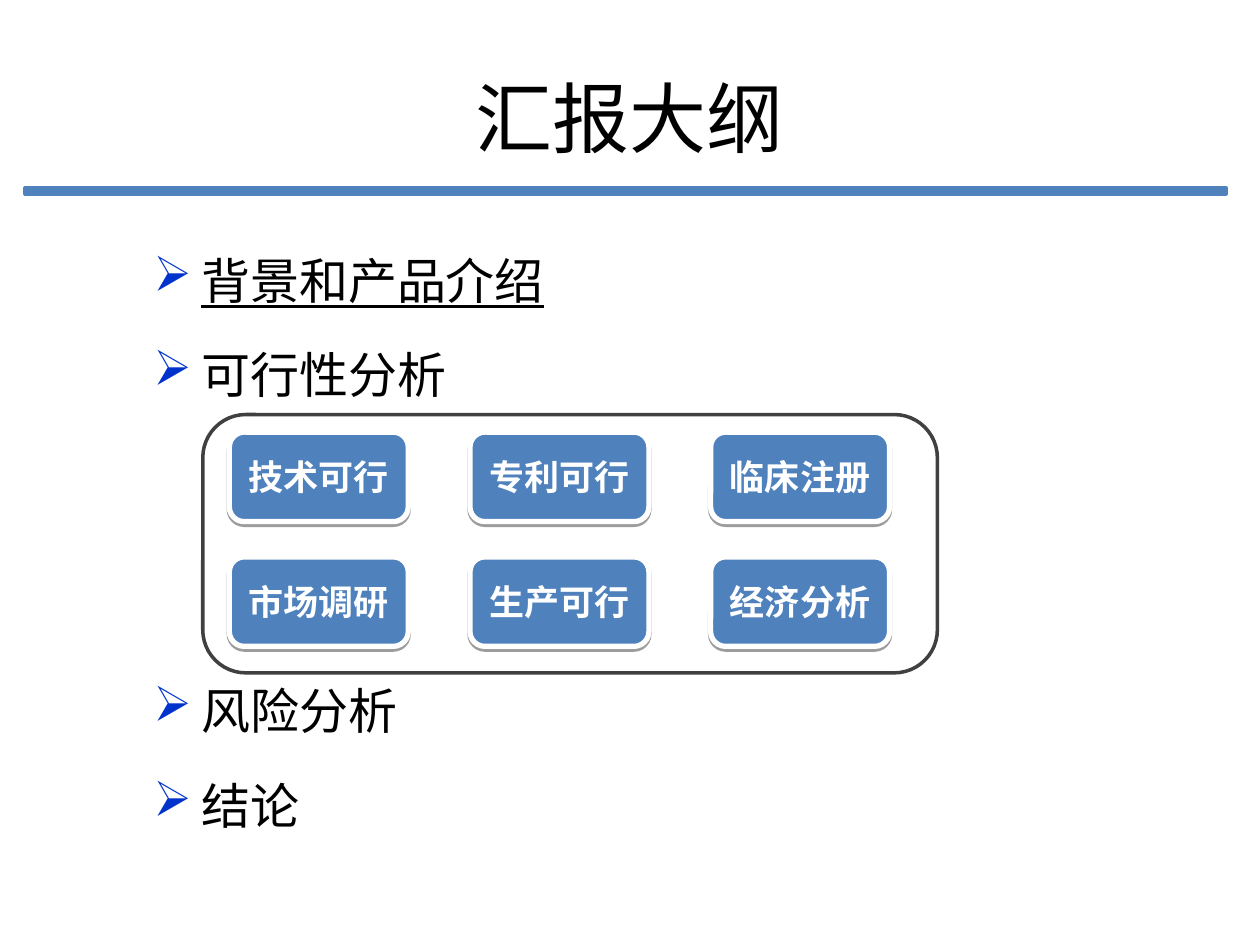
from dataclasses import dataclass

from lxml import etree
from pptx import Presentation
from pptx.dml.color import RGBColor
from pptx.enum.shapes import MSO_SHAPE
from pptx.enum.text import MSO_ANCHOR, PP_ALIGN
from pptx.oxml.ns import qn
from pptx.util import Inches, Pt

ROUNDED = MSO_SHAPE.ROUNDED_RECTANGLE
RECTANGLE = MSO_SHAPE.RECTANGLE
MIDDLE = MSO_ANCHOR.MIDDLE
CENTER = PP_ALIGN.CENTER
TITLE_ONLY_LAYOUT = 5


@dataclass(frozen=True)
class Theme:
    font: str = "Calibri"
    blue: str = "4F81BD"
    bullet: str = "0033CC"
    frame: str = "404040"
    text: str = "000000"
    white: str = "FFFFFF"
    title_size: int = 44
    outline_size: int = 28
    card_size: int = 20


@dataclass(frozen=True)
class OutlineItem:
    text: str
    space_before: float = 7
    underline: bool = False


@dataclass(frozen=True)
class Box:
    left: float
    top: float
    width: float
    height: float

    def lengths(self):
        return [Inches(value) for value in (self.left, self.top, self.width, self.height)]


THEME = Theme()
OUTLINE = [
    OutlineItem("背景和产品介绍", 0, True),
    OutlineItem("可行性分析"),
    OutlineItem("风险分析", 145),  # leaves room for the framed cards
    OutlineItem("结论"),
]
CARD_ROWS = [
    ["技术可行", "专利可行", "临床注册"],
    ["市场调研", "生产可行", "经济分析"],
]
FIRST_CARD = Box(1.82, 3.43, 1.42, 0.71)
COLUMN_STEP = 1.91
ROW_STEP = 0.99


def set_font(paragraph, size: int, color: str, bold: bool = False) -> None:
    font = paragraph.font
    font.name = THEME.font
    font.size = Pt(size)
    font.bold = bold
    font.color.rgb = RGBColor.from_string(color)


def add_bullet(paragraph) -> None:
    properties = paragraph._p.get_or_add_pPr()
    properties.set("marL", str(Inches(0.38)))
    properties.set("indent", str(-Inches(0.38)))
    color = etree.SubElement(properties, qn("a:buClr"))
    etree.SubElement(color, qn("a:srgbClr"), val=THEME.bullet)
    etree.SubElement(properties, qn("a:buChar"), char="➢")


def add_drop_shadow(shape) -> None:
    """Put a crisp 38% black shadow just below the shape."""
    effects = etree.SubElement(shape._element.spPr, qn("a:effectLst"))
    shadow = etree.SubElement(
        effects, qn("a:outerShdw"), blurRad="0", dist=str(Pt(1.6)),
        dir="5400000", rotWithShape="0",
    )
    color = etree.SubElement(shadow, qn("a:srgbClr"), val="000000")
    etree.SubElement(color, qn("a:alpha"), val="38000")


def add_panel(slide, kind, box: Box, fill: str | None, line: str, line_width: float):
    """Add a shape without shadow; no fill colour makes it hollow."""
    shape = slide.shapes.add_shape(kind, *box.lengths())
    if fill:
        shape.fill.solid()
        shape.fill.fore_color.rgb = RGBColor.from_string(fill)
    else:
        shape.fill.background()
    shape.line.color.rgb = RGBColor.from_string(line)
    shape.line.width = Pt(line_width)
    return shape


def add_title(slide, text: str) -> None:
    title = slide.shapes.title
    title.left, title.top, title.width, title.height = Box(0.5, 0.3, 9, 1.25).lengths()
    title.text_frame.text = text
    title.text_frame.vertical_anchor = MIDDLE
    paragraph = title.text_frame.paragraphs[0]
    paragraph.alignment = CENTER
    set_font(paragraph, THEME.title_size, THEME.text)


def add_outline(slide, items: list[OutlineItem]) -> None:
    frame = slide.shapes.add_textbox(*Box(1.12, 1.75, 8.8, 5.15).lengths()).text_frame
    frame.word_wrap = True
    for index, item in enumerate(items):
        paragraph = frame.add_paragraph() if index else frame.paragraphs[0]
        paragraph.text = item.text
        add_bullet(paragraph)
        paragraph.line_spacing = 1.4
        paragraph.space_before = Pt(item.space_before)
        set_font(paragraph, THEME.outline_size, THEME.text)
        paragraph.runs[0].font.underline = item.underline


def add_card(slide, text: str, box: Box) -> None:
    card = add_panel(slide, ROUNDED, box, THEME.blue, THEME.white, 3)
    add_drop_shadow(card)
    frame = card.text_frame
    frame.text = text
    frame.vertical_anchor = MIDDLE
    paragraph = frame.paragraphs[0]
    paragraph.alignment = CENTER
    set_font(paragraph, THEME.card_size, THEME.white, bold=True)


def main() -> None:
    presentation = Presentation()
    presentation.slide_width = Inches(10)
    presentation.slide_height = Inches(7.5)
    slide = presentation.slides.add_slide(presentation.slide_layouts[TITLE_ONLY_LAYOUT])

    rule = add_panel(slide, RECTANGLE, Box(0.2, 1.49, 9.53, 0.05), THEME.blue, THEME.blue, 2)
    rule.shadow.inherit = False
    add_title(slide, "汇报大纲")
    add_outline(slide, OUTLINE)
    for row, labels in enumerate(CARD_ROWS):
        for column, label in enumerate(labels):
            add_card(slide, label, Box(
                FIRST_CARD.left + column * COLUMN_STEP,
                FIRST_CARD.top + row * ROW_STEP,
                FIRST_CARD.width, FIRST_CARD.height,
            ))
    frame = add_panel(slide, ROUNDED, Box(1.61, 3.29, 5.83, 2.05), None, THEME.frame, 2)
    frame.shadow.inherit = False

    presentation.save("out.pptx")


if __name__ == "__main__":
    main()
